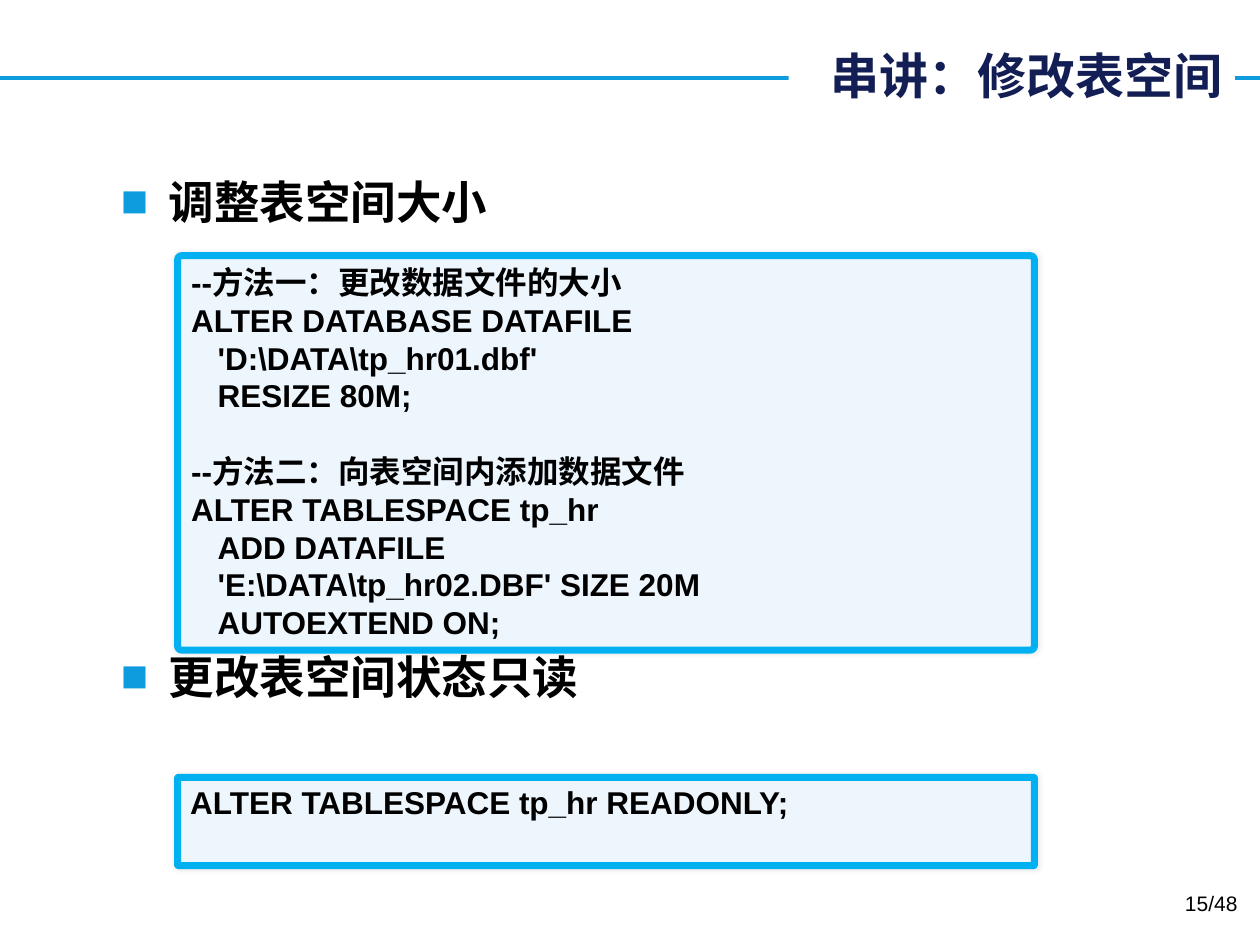
"""Build the slide on altering a tablespace."""
import pptx
import pptx.util
import pptx.dml.color
import pptx.enum.shapes
import pptx.enum.text
import pptx.oxml
import pptx.oxml.ns

Inches, Pt = pptx.util.Inches, pptx.util.Pt
color = pptx.dml.color.RGBColor.from_string
align = pptx.enum.text.PP_ALIGN
anchor = pptx.enum.text.MSO_ANCHOR
kinds = pptx.enum.shapes
CJK = "Noto Sans CJK SC"
spaces = pptx.oxml.ns.nsdecls("a")


def add_xml(parent, text):
    tag, rest = text.split(" ", 1)
    parent.append(pptx.oxml.parse_xml(f"{tag} {spaces} {rest}"))


def style(para, size, tint="000000", face="Arial", bold=True):
    for run in para.runs:
        run.font.size = Pt(size)
        run.font.bold = bold
        run.font.name = face
        run.font.color.rgb = color(tint)
        add_xml(run.font._element, f'<a:ea typeface="{CJK}"/>')


deck = pptx.Presentation()
deck.slide_width, deck.slide_height = Inches(10), Inches(7.5)
slide = deck.slides.add_slide(deck.slide_layouts[1])
shapes = slide.shapes

rule = shapes.add_connector(kinds.MSO_CONNECTOR.STRAIGHT,
                            0, Inches(0.62), Inches(10), Inches(0.62))
rule.line.color.rgb = color("0E9CDE")
rule.line.width = Pt(2.25)
add_xml(rule._element.spPr, "<a:effectLst />")
rule._element.getparent().insert(2, rule._element)

title = shapes.title
title.left, title.top = Inches(6.26), Inches(0.31)
title.width, title.height = Inches(3.54), Inches(0.57)
title.fill.solid()
title.fill.fore_color.rgb = color("FFFFFF")
title.text_frame.text = "串讲：修改表空间"
title.text_frame.auto_size = pptx.enum.text.MSO_AUTO_SIZE.NONE
title.text_frame.vertical_anchor = anchor.MIDDLE
title.text_frame.paragraphs[0].alignment = align.RIGHT
style(title.text_frame.paragraphs[0], 28, "121E54", CJK)

body = slide.placeholders[1]
body.left, body.top = Inches(0.86), Inches(1.33)
body.width, body.height = Inches(8.36), Inches(5.62)
body.text_frame.text = "调整表空间大小\n更改表空间状态只读"
body.text_frame.auto_size = pptx.enum.text.MSO_AUTO_SIZE.NONE
for para, gap in zip(body.text_frame.paragraphs, (5, 240.3)):
    para.space_before = Pt(gap)
    style(para, 26)
    props = para._p.get_or_add_pPr()
    props.set("marL", str(Inches(0.38)))
    props.set("indent", str(-Inches(0.38)))
    add_xml(props, '<a:buClr ><a:srgbClr val="0E9CDE"/></a:buClr>')
    add_xml(props, '<a:buFont typeface="Arial"/>')
    add_xml(props, '<a:buChar char="■"/>')

resize = ["--方法一：更改数据文件的大小",
          "ALTER DATABASE DATAFILE",
          "\t'D:\\DATA\\tp_hr01.dbf'",
          "\tRESIZE 80M;",
          "--方法二：向表空间内添加数据文件",
          "ALTER TABLESPACE tp_hr",
          "\tADD DATAFILE",
          "\t'E:\\DATA\\tp_hr02.DBF' SIZE 20M",
          "\tAUTOEXTEND ON;"]
lock = ["ALTER TABLESPACE tp_hr READONLY;"]
for top, height, pitch, code in ((2.03, 3.13, 21.6, resize), (6.17, 0.7, 21, lock)):
    box = shapes.add_shape(kinds.MSO_SHAPE.ROUNDED_RECTANGLE,
                           Inches(1.41), Inches(top), Inches(6.8), Inches(height))
    box.adjustments[0] = 0.01
    box.fill.solid()
    box.fill.fore_color.rgb = color("EDF5FD")
    box.line.color.rgb = color("00B0F0")
    box.line.width = Pt(4)
    add_xml(box._element.spPr,
            f'<a:effectLst ><a:outerShdw blurRad="{Pt(3)}" dist="0" dir="0">'
            '<a:srgbClr val="000000"><a:alpha val="10000"/></a:srgbClr>'
            '</a:outerShdw></a:effectLst>')
    frame = box.text_frame
    frame.vertical_anchor = anchor.TOP
    frame.text = "\n".join(line.strip() for line in code)
    for i, (para, line) in enumerate(zip(frame.paragraphs, code)):
        para.alignment = align.LEFT
        para.line_spacing = Pt(pitch)
        if i and line.startswith("--"):
            para.space_before = Pt(pitch)
        if line.startswith("\t"):
            para._p.get_or_add_pPr().set("marL", str(Inches(0.21)))
        style(para, 18)

page = shapes.add_textbox(Inches(7.59), Inches(7.02), Inches(2.33), Inches(0.4))
page.text_frame.word_wrap = True
page.text_frame.text = "15/48"
page.text_frame.paragraphs[0].alignment = align.RIGHT
style(page.text_frame.paragraphs[0], 12, bold=False)

deck.save("out.pptx")
